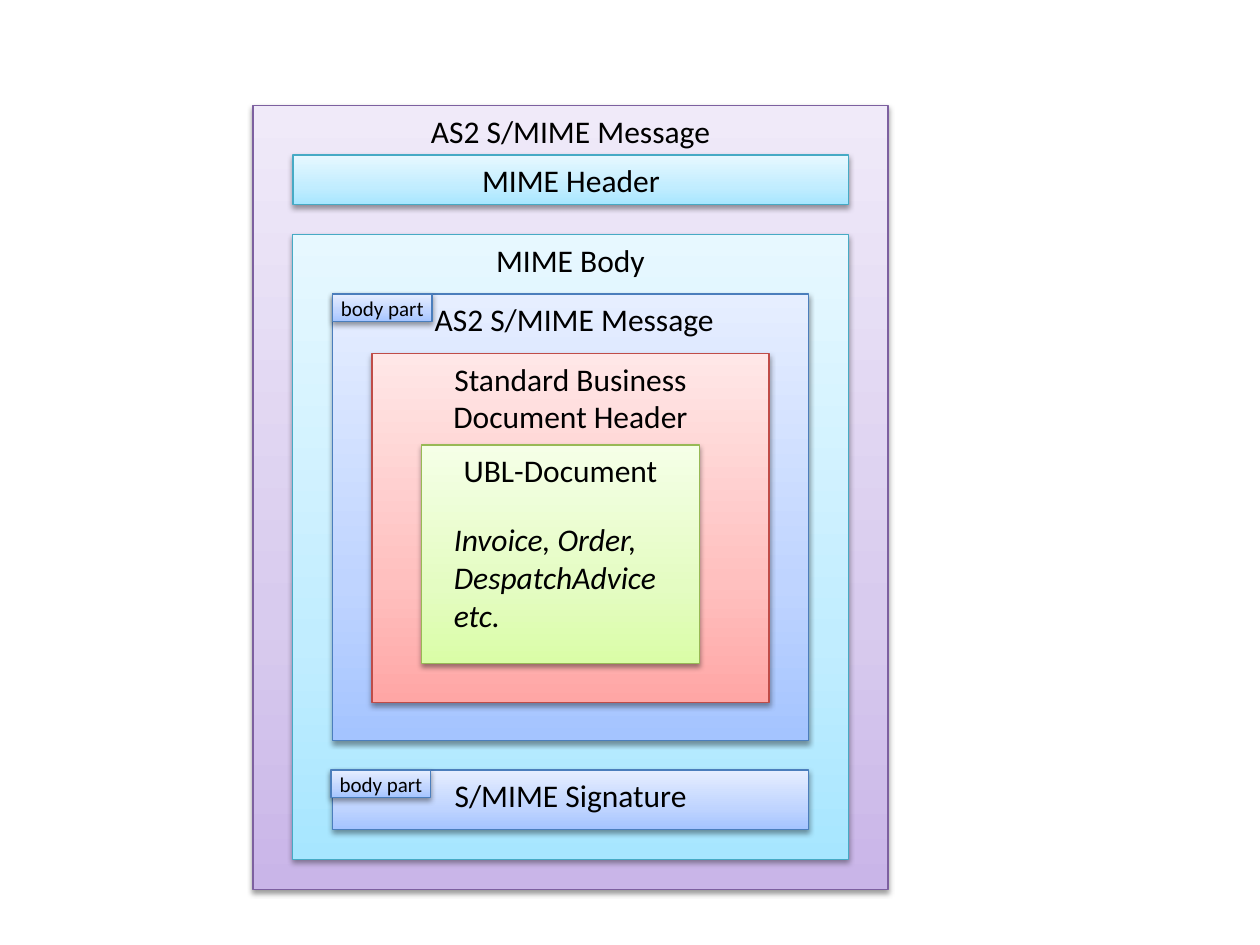
"""Draw the nested layers of an AS2 S/MIME message."""
from copy import deepcopy
from dataclasses import dataclass

from pptx import Presentation
from pptx import util as u
from pptx.dml.color import RGBColor
from pptx.enum import shapes, text
from pptx.oxml import parse_xml
from pptx.oxml.ns import nsdecls, qn


@dataclass(frozen=True)
class Theme:
    font: str = "Calibri"
    ink: str = "000000"
    body: float = 18
    tag: float = 12
    line: float = 0.75
    stops: tuple = (0, 0.35, 1)
    purple: tuple = ("7D60A0", "C9B5E8", "D8CBEE", "F0EAF9")
    aqua: tuple = ("46AAC5", "A7E6FF", "C1EDFF", "E7F8FF")
    blue: tuple = ("4B7EBC", "A4C4FF", "BFD4FF", "E6EEFF")
    red: tuple = ("BF4C48", "FFA6A5", "FFC0BF", "FFE7E7")
    green: tuple = ("98B955", "DAFDA7", "E4FCC2", "F5FFE7")


class Canvas:
    def __init__(self, slide, theme):
        self.slide, self.theme = slide, theme

    def label(self, frame, words, size, align, italic=False, **layout):
        for name, value in {"word_wrap": True, **layout}.items():
            setattr(frame, name, value)
        paragraph = frame.paragraphs[0]
        paragraph.alignment = align
        run = paragraph.add_run()
        run.text = words
        style = {"name": self.theme.font, "size": u.Pt(size), "italic": italic}
        for name, value in style.items():
            setattr(run.font, name, value)
        run.font.color.rgb = RGBColor.from_string(self.theme.ink)

    def shade(self, layer, colours):
        layer.fill.gradient()
        layer.fill.gradient_angle = 90
        first = layer._element.spPr.find(qn("a:gradFill")).find(qn("a:gsLst"))[0]
        first.addnext(deepcopy(first))
        for stop, place, colour in zip(layer.fill.gradient_stops, self.theme.stops, colours):
            stop.position = place
            stop.color.rgb = RGBColor.from_string(colour)

    def cast_shadow(self, layer):
        layer.shadow.inherit = False
        effects = layer._element.spPr.find(qn("a:effectLst"))
        effects.append(parse_xml(
            f'<a:outerShdw {nsdecls("a")} blurRad="40000" dist="20000" dir="5400000" rotWithShape="0">'
            '<a:srgbClr val="000000"><a:alpha val="38000"/></a:srgbClr></a:outerShdw>'))

    def layer(self, words, box, palette, size=None, **layout):
        layer = self.slide.shapes.add_shape(shapes.MSO_SHAPE.RECTANGLE, *map(u.Pt, box))
        outline, *colours = palette
        self.shade(layer, colours)
        layer.line.color.rgb = RGBColor.from_string(outline)
        layer.line.width = u.Pt(self.theme.line)
        self.cast_shadow(layer)
        layout = {"vertical_anchor": text.MSO_ANCHOR.TOP, **layout}
        self.label(layer.text_frame, words, size or self.theme.body, text.PP_ALIGN.CENTER, **layout)

    def tag(self, words, left, top):
        margins = {f"margin_{side}": 0 for side in ("left", "top", "right", "bottom")}
        self.layer(words, (left, top, 56.9, 15.8), self.theme.blue, self.theme.tag,
                   vertical_anchor=text.MSO_ANCHOR.MIDDLE, **margins)

    def note(self, words, box):
        note = self.slide.shapes.add_textbox(*map(u.Pt, box))
        self.label(note.text_frame, words, self.theme.body, text.PP_ALIGN.LEFT, italic=True,
                   auto_size=text.MSO_AUTO_SIZE.SHAPE_TO_FIT_TEXT)


def main():
    deck = Presentation()
    deck.slide_width, deck.slide_height = u.Pt(720), u.Pt(540)
    theme = Theme()
    canvas = Canvas(deck.slides.add_slide(deck.slide_layouts[6]), theme)

    for words, box, palette in (
        ("AS2 S/MIME Message", (144.6, 60.4, 362.9, 447.8), theme.purple),
        ("MIME Body", (167.2, 134, 317.6, 357.2), theme.aqua),
        (" AS2 S/MIME Message", (190, 168, 272.2, 255), theme.blue),
        ("Standard Business Document Header", (212.6, 202, 226.8, 199.6), theme.red),
        ("UBL-Document", (241, 254.3, 158.6, 124.7), theme.green),
    ):
        canvas.layer(words, box, palette)
    canvas.note("Invoice, Order, DespatchAdvice etc.", (252.3, 293.7, 136, 72.7))
    canvas.layer("MIME Header", (167.5, 88.6, 317.5, 28.4), theme.aqua)
    canvas.layer("S/MIME Signature", (190, 440, 272.2, 34), theme.blue)
    for left, top in ((190, 168), (189.2, 440)):
        canvas.tag("body part", left, top)

    deck.save("out.pptx")


if __name__ == "__main__":
    main()
